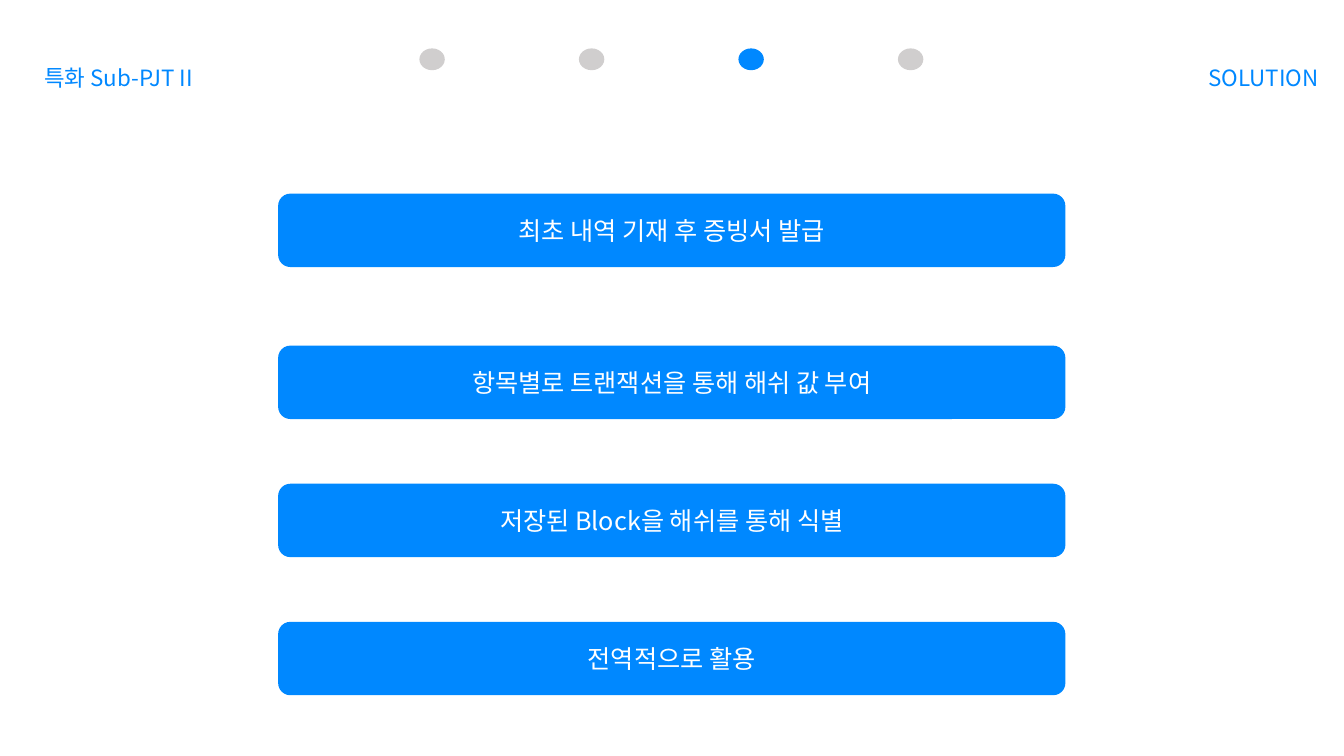
from lxml.etree import SubElement
from pptx import Presentation
from pptx.dml.color import RGBColor
from pptx.enum.shapes import MSO_SHAPE as Shape
from pptx.enum.text import MSO_ANCHOR as Anchor, MSO_AUTO_SIZE as AutoSize, PP_ALIGN as Align
from pptx.oxml.ns import qn
from pptx.util import Cm, Pt

FONT = "Noto Sans CJK KR"
COLORS = {"blue": "0088FF", "gray": "D0CECE", "white": "FFFFFF"}
DOT_COUNT, ACTIVE_DOT = 4, 2
DOT_LEFT, DOT_PITCH = 10.57, 4.02
STEPS = [
    (4.88, "최초 내역 기재 후 증빙서 발급"),
    (8.71, "항목별로 트랜잭션을 통해 해쉬 값 부여"),
    (12.19, "저장된 Block을 해쉬를 통해 식별"),
    (15.67, "전역적으로 활용"),
]


def add_span(para, text, size, color):
    span = para.add_run()
    span.text = text
    span.font.size = Pt(size)
    span.font.name = FONT
    span.font.color.rgb = RGBColor.from_string(COLORS[color])
    SubElement(span.font._element, qn("a:ea")).set("typeface", FONT)


def add_filled_shape(page, kind, left, top, width, height, color):
    shape = page.shapes.add_shape(kind, Cm(left), Cm(top), Cm(width), Cm(height))
    shape.shadow.inherit = False
    shape.fill.solid()
    shape.fill.fore_color.rgb = RGBColor.from_string(COLORS[color])
    shape.line.fill.background()
    return shape


def add_progress_dots(page):
    for index in range(DOT_COUNT):
        color = "blue" if index == ACTIVE_DOT else "gray"
        left = DOT_LEFT + index * DOT_PITCH
        add_filled_shape(page, Shape.OVAL, left, 1.22, 0.64, 0.55, color)


def add_header_label(page, left, width, text):
    box = page.shapes.add_textbox(Cm(left), Cm(1.83), Cm(width), Cm(0.64))
    frame = box.text_frame
    frame.word_wrap = False
    frame.auto_size = AutoSize.SHAPE_TO_FIT_TEXT
    frame.margin_left = frame.margin_right = frame.margin_top = 0
    frame.margin_bottom = Cm(0.13)
    para = frame.paragraphs[0]
    para.line_spacing = Pt(13)
    add_span(para, text, 16, "blue")


def add_step(page, top, text):
    bar = add_filled_shape(page, Shape.ROUNDED_RECTANGLE, 7.01, top, 19.84, 1.85, "blue")
    frame = bar.text_frame
    frame.word_wrap = True
    frame.vertical_anchor = Anchor.MIDDLE
    para = frame.paragraphs[0]
    para.alignment = Align.CENTER
    add_span(para, text, 18, "white")


def main():
    deck = Presentation()
    deck.slide_width, deck.slide_height = Cm(33.87), Cm(19.05)
    page = deck.slides.add_slide(deck.slide_layouts[6])
    add_progress_dots(page)
    add_header_label(page, 1.12, 4.34, "특화 Sub-PJT II")
    add_header_label(page, 30.45, 2.95, "SOLUTION")
    for top, text in STEPS:
        add_step(page, top, text)
    deck.save("out.pptx")


if __name__ == "__main__":
    main()
